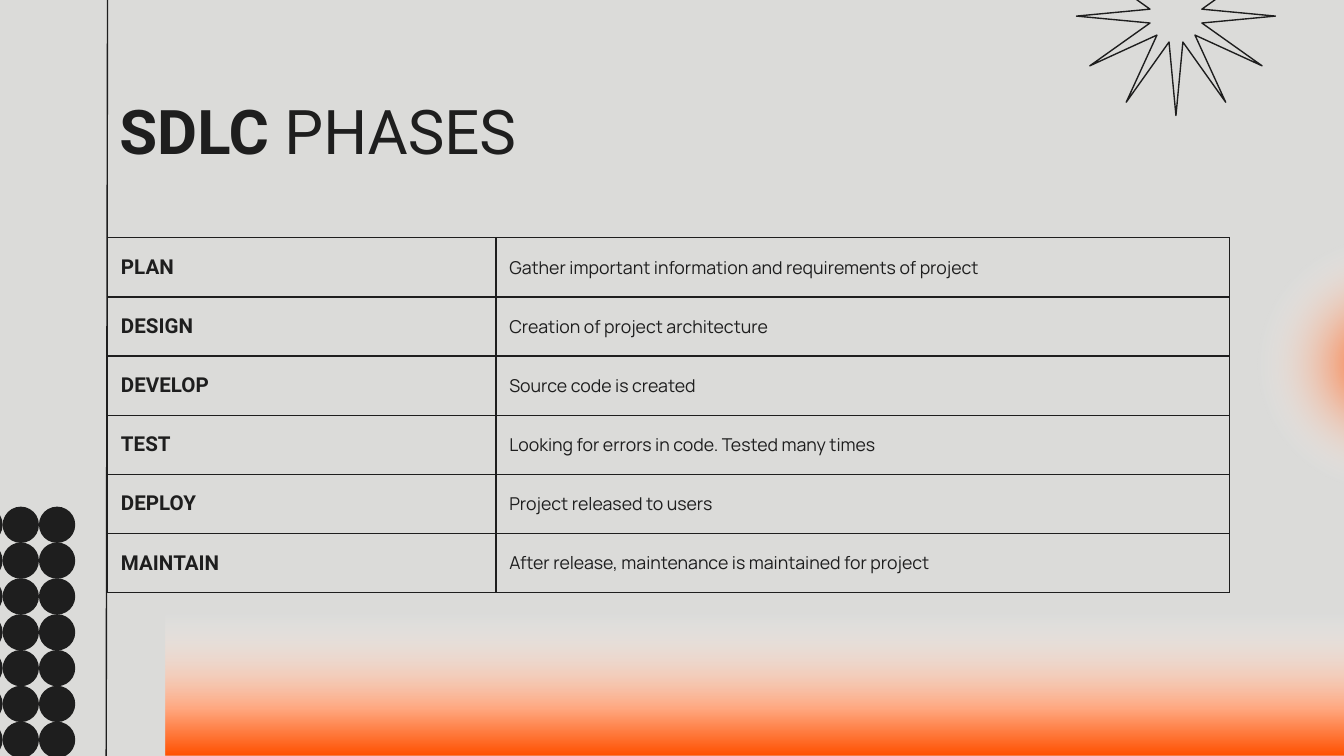
from dataclasses import dataclass
from itertools import product

from pptx import Presentation
from pptx.dml.color import RGBColor as Rgb
from pptx.enum.shapes import MSO_CONNECTOR as Link, MSO_SHAPE as Geo
from pptx.enum.text import MSO_ANCHOR as Anchor
from pptx.oxml import parse_xml as to_xml
from pptx.oxml.ns import nsdecls, qn
from pptx.util import Inches, Pt

INK = "1E1E1E"
HEAD = {"name": "Roboto", "size": Pt(33), "bold": True}
LIGHT = HEAD | {"bold": False}
LABEL = HEAD | {"size": Pt(11)}
BODY = {"name": "Manrope", "size": Pt(9.5), "bold": False}
INSET = {f"margin_{side}": Inches(0.1) for side in ("left", "top", "right", "bottom")}


@dataclass
class Phase:
    name: str
    note: str


@dataclass
class Stop:
    place: int
    color: str
    alpha: int = 100


PHASES = [
    Phase("PLAN", "Gather important information and requirements of project"),
    Phase("DESIGN", "Creation of project architecture "),
    Phase("DEVELOP", "Source code is created "),
    Phase("TEST", "Looking for errors in code. Tested many times"),
    Phase("DEPLOY", "Project released to users"),
    Phase("MAINTAIN", "After release, maintenance is maintained for project"),
]
BAND = [Stop(0, "FFFFFF", 0), Stop(67, "FFA880"), Stop(100, "FF5000")]
GLOW = [Stop(0, "FF5000"), Stop(61, "FFFFFF", 0), Stop(100, "FFFFFF", 0)]
DOWN = '<a:lin ang="5400000" scaled="0"/>'
ROUND = ('<a:path path="circle"><a:fillToRect l="50000" t="50000" '
         'r="50000" b="50000"/></a:path>')


def apply(target, values: dict) -> None:
    for key, value in values.items():
        setattr(target, key, value)


def paint(fill, color: str) -> None:
    fill.solid()
    fill.fore_color.rgb = Rgb.from_string(color)


def write(para, text: str, style: dict) -> None:
    run = para.add_run()
    run.text = text
    apply(run.font, style)
    paint(run.font.fill, INK)


def stroke(line) -> None:
    paint(line.fill, INK)
    line.width = Pt(0.75)


def draw(kind, left: float, top: float, width: float, height: float):
    shape = shapes.add_shape(kind, Inches(left), Inches(top), Inches(width), Inches(height))
    shape.shadow.inherit = False
    shape.fill.background()
    shape.line.fill.background()
    return shape


def blend(shape, stops: list[Stop], shade: str) -> None:
    marks = "".join(
        f'<a:gs pos="{s.place * 1000}"><a:srgbClr val="{s.color}">'
        f'<a:alpha val="{s.alpha * 1000}"/></a:srgbClr></a:gs>' for s in stops)
    props = shape.element.spPr
    props.replace(props.find(qn("a:noFill")), to_xml(
        f'<a:gradFill {nsdecls("a")} rotWithShape="1"><a:gsLst>{marks}</a:gsLst>'
        f'{shade}</a:gradFill>'))


def frame(cell) -> None:
    props = cell._tc.get_or_add_tcPr()
    for spot, side in enumerate("LRTB"):
        props.insert(spot, to_xml(
            f'<a:ln{side} {nsdecls("a")} w="9525"><a:solidFill>'
            f'<a:srgbClr val="{INK}"/></a:solidFill></a:ln{side}>'))


deck = Presentation()
deck.slide_width = Inches(10)
deck.slide_height = deck.slide_width * 9 // 16
slide = deck.slides.add_slide(deck.slide_layouts[6])
shapes = slide.shapes
paint(slide.background.fill, "DBDBD9")

blend(draw(Geo.RECTANGLE, 1.23, 4.56, 8.8, 1.06), BAND, DOWN)
star = draw(Geo.STAR_12_POINT, 8.01, -0.62, 1.48, 1.48)
star.adjustments[0] = 0.135
stroke(star.line)
blend(draw(Geo.OVAL, 9.21, 1.62, 2.18, 2.18), GLOW, ROUND)

rule = shapes.add_connector(Link.STRAIGHT, Inches(0.8), Inches(-0.02), Inches(0.79), Inches(5.76))
stroke(rule.line)
rule.element.spPr.append(to_xml(f'<a:effectLst {nsdecls("a")}/>'))

for col, row in product(range(3), range(7)):
    dot = draw(Geo.OVAL, -0.25 + col * 0.27, 3.77 + row * 1.6 / 6, 0.27, 0.27)
    paint(dot.fill, INK)

title = shapes.add_textbox(Inches(0.79), Inches(0.59), Inches(8.42), Inches(0.63)).text_frame
apply(title, INSET | {"word_wrap": True, "vertical_anchor": Anchor.TOP})
write(title.paragraphs[0], "SDLC ", HEAD)
write(title.paragraphs[0], "PHASES", LIGHT)

grid = shapes.add_table(len(PHASES), 2, Inches(0.8), Inches(1.77), Inches(8.35), Inches(2.64)).table
apply(grid, {"first_row": False, "horz_banding": False})
for col, width in zip(grid.columns, (2.89, 5.46)):
    col.width = Inches(width)
for row, phase in zip(grid.rows, PHASES):
    row.height = Inches(0.44)
    for cell, text, style in zip(row.cells, (phase.name, phase.note), (LABEL, BODY)):
        apply(cell, INSET | {"vertical_anchor": Anchor.MIDDLE})
        cell.fill.background()
        frame(cell)
        write(cell.text_frame.paragraphs[0], text, style)

deck.save("out.pptx")
